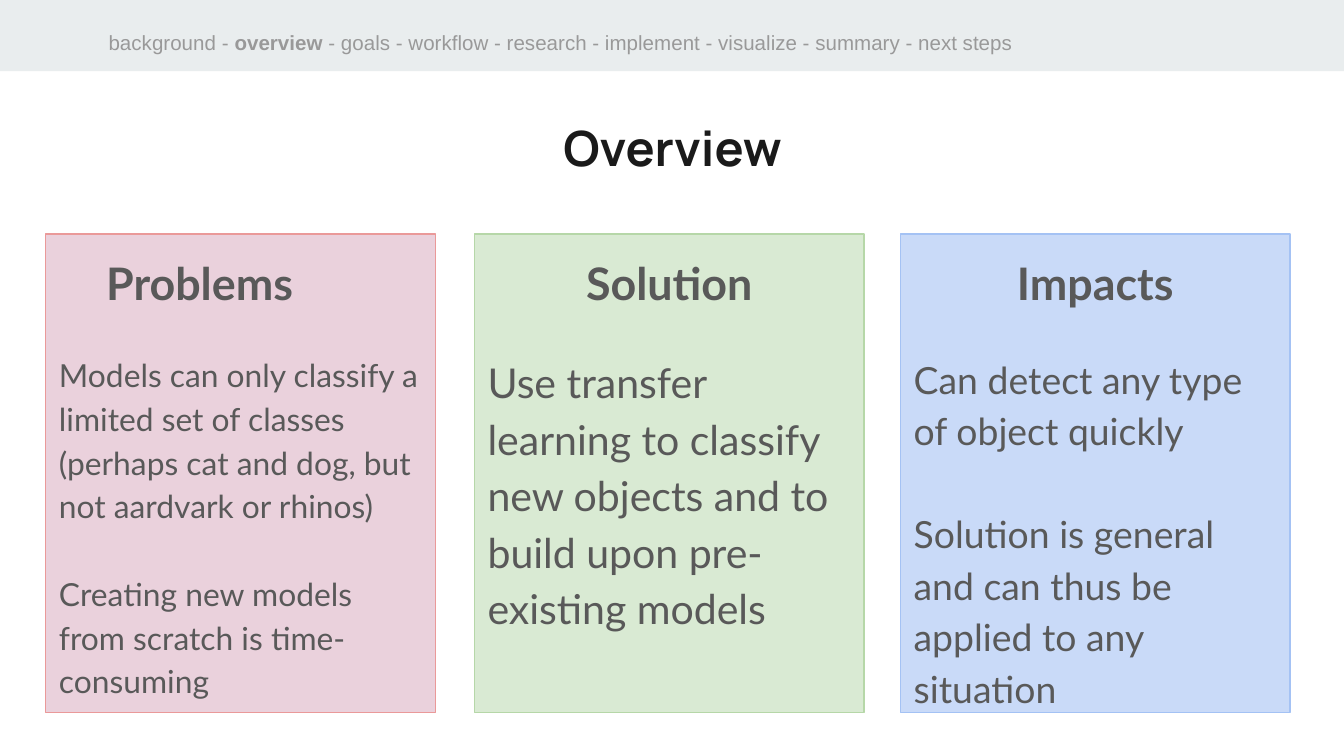
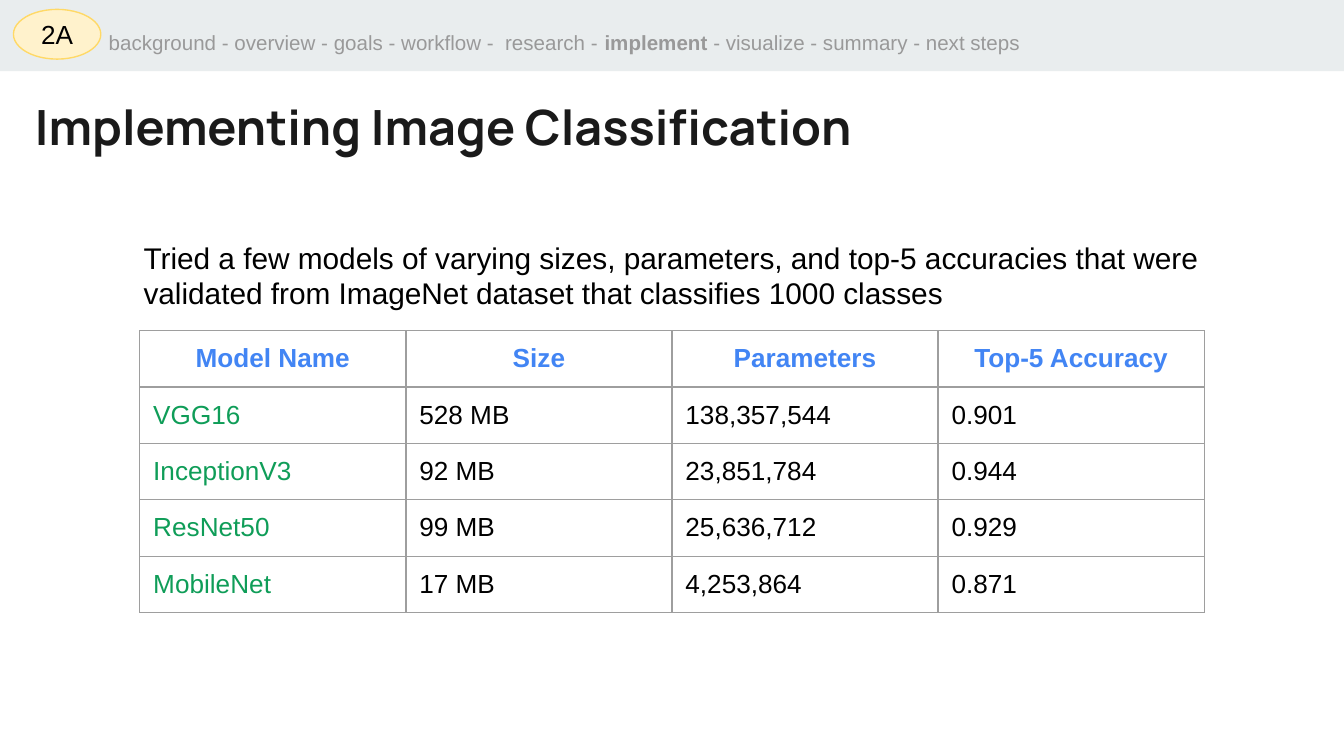
from dataclasses import dataclass
from typing import NamedTuple, Optional

from lxml import etree
from pptx import Presentation
from pptx import slide as sl
from pptx import util as u
from pptx.dml import color as dml
from pptx.enum import shapes, text
from pptx.oxml import ns
from pptx.shapes import autoshape
from pptx.text import text as tx


@dataclass(frozen=True)
class Theme:
    band: str = "E9EDEE"
    title: str = "1A1A1A"
    body: str = "595959"
    muted: str = "999999"
    black: str = "000000"
    header: str = "4285F4"
    model: str = "0F9D58"
    border: str = "9E9E9E"
    badge_fill: str = "FFF2CC"
    badge_line: str = "FFD966"
    title_font: str = "Manrope"
    card_font: str = "Lato"
    plain_font: str = "Arial"
    title_size: int = 26
    heading_size: int = 24
    intro_size: int = 16
    table_size: int = 14
    nav_size: int = 11
    line_width: float = 0.75
    line_spacing: float = 1.15


THEME = Theme()
PAGE_WIDTH = 10
PAGE_HEIGHT = PAGE_WIDTH * 9 / 16
INSET = u.Inches(0.1)
HEADING_TAB = u.Inches(2)
STAGES = ("background", "overview", "goals", "workflow", "research",
          "implement", "visualize", "summary", "next steps")


class Area(NamedTuple):
    left: float
    top: float
    width: float
    height: float

    def lengths(self) -> list[u.Length]:
        return [u.Inches(value) for value in self]


class Style(NamedTuple):
    font: str
    size: float
    color: str
    bold: bool = False


@dataclass(frozen=True)
class Card:
    left: float
    heading: str
    paragraphs: tuple[str, ...]
    size: int
    fill: str
    line: str


CARDS = (
    Card(0.34, "Problems\t",
         ("Models can only classify a limited set of classes "
          "(perhaps cat and dog, but not aardvark or rhinos)",
          "Creating new models from scratch is time-consuming"),
         17, "EAD1DC", "EA9999"),
    Card(3.53, "Solution",
         ("Use transfer learning to classify new objects and to build upon "
          "pre-existing models",),
         22, "D9EAD3", "B6D7A8"),
    Card(6.7, "Impacts",
         ("Can detect any type of object quickly",
          "Solution is general and can thus be applied to any situation"),
         20, "C9DAF8", "A4C2F4"),
)

MODELS = (
    ("Model Name", "Size", "Parameters", "Top-5 Accuracy"),
    ("VGG16", "528 MB", "138,357,544", "0.901"),
    ("InceptionV3", "92 MB", "23,851,784", "0.944"),
    ("ResNet50", "99 MB", "25,636,712", "0.929"),
    ("MobileNet", "17 MB", "4,253,864", "0.871"),
)
COLUMN_WIDTH = 1.98
ROW_HEIGHT = 0.42


def rgb(value: str) -> dml.RGBColor:
    return dml.RGBColor.from_string(value)


def add_span(para: tx._Paragraph, words: str, style: Style) -> None:
    span = para.add_run()
    span.text = words
    values = {"name": style.font, "size": u.Pt(style.size), "bold": style.bold}
    for name, value in values.items():
        setattr(span.font, name, value)
    span.font.color.rgb = rgb(style.color)


def format_frame(frame: tx.TextFrame, anchor=text.MSO_ANCHOR.TOP) -> None:
    values = {"word_wrap": True, "auto_size": text.MSO_AUTO_SIZE.NONE,
              "vertical_anchor": anchor, "margin_left": INSET,
              "margin_top": INSET, "margin_right": INSET,
              "margin_bottom": INSET}
    for name, value in values.items():
        setattr(frame, name, value)


def add_box(page: sl.Slide, area: Area) -> tx._Paragraph:
    """Add a text box and return its first paragraph."""
    frame = page.shapes.add_textbox(*area.lengths()).text_frame
    format_frame(frame)
    return frame.paragraphs[0]


def add_filled(page: sl.Slide, kind: shapes.MSO_SHAPE, area: Area, fill: str,
               line: Optional[str] = None) -> autoshape.Shape:
    shape = page.shapes.add_shape(kind, *area.lengths())
    shape.shadow.inherit = False
    shape.fill.solid()
    shape.fill.fore_color.rgb = rgb(fill)
    if line:
        shape.line.color.rgb = rgb(line)
        shape.line.width = u.Pt(THEME.line_width)
    else:
        shape.line.fill.background()
    return shape


def add_navigation(page: sl.Slide, stages: tuple[str, ...], stage: str,
                   width: float) -> None:
    """Add the top band with the path of stages, the given one in bold."""
    add_filled(page, shapes.MSO_SHAPE.RECTANGLE, Area(0, 0, PAGE_WIDTH, 0.53),
               THEME.band)
    para = add_box(page, Area(0.71, 0.12, width, 0.27))
    plain = Style(THEME.plain_font, THEME.nav_size, THEME.muted)
    position = stages.index(stage)
    add_span(para, " - ".join(stages[:position]) + " - ", plain)
    add_span(para, stage + " ", plain._replace(bold=True))
    add_span(para, "- " + " - ".join(stages[position + 1:]), plain)


def add_page(deck, title: str, area: Area, align: text.PP_ALIGN) -> sl.Slide:
    page = deck.slides.add_slide(deck.slide_layouts.get_by_name("Title Only"))
    holder = page.shapes.title
    holder.left, holder.top, holder.width, holder.height = area.lengths()
    format_frame(holder.text_frame)
    para = holder.text_frame.paragraphs[0]
    para.alignment = align
    add_span(para, title,
             Style(THEME.title_font, THEME.title_size, THEME.title, True))
    return page


def add_tab_stop(para: tx._Paragraph, position: u.Length) -> None:
    stops = etree.SubElement(para._p.get_or_add_pPr(), ns.qn("a:tabLst"))
    etree.SubElement(stops, ns.qn("a:tab"), pos=str(position), algn="l")


def add_card(page: sl.Slide, card: Card) -> None:
    box = add_filled(page, shapes.MSO_SHAPE.RECTANGLE,
                     Area(card.left, 1.74, 2.9, 3.56), card.fill, card.line)
    frame = box.text_frame
    format_frame(frame)
    heading = frame.paragraphs[0]
    heading.alignment = text.PP_ALIGN.CENTER
    heading.line_spacing = THEME.line_spacing
    heading.space_after = u.Pt(22)
    if "\t" in card.heading:
        add_tab_stop(heading, HEADING_TAB)
    add_span(heading, card.heading,
             Style(THEME.card_font, THEME.heading_size, THEME.body, True))
    for index, words in enumerate(card.paragraphs):
        para = frame.add_paragraph()
        para.alignment = text.PP_ALIGN.LEFT
        para.line_spacing = THEME.line_spacing
        if index:
            para.space_before = u.Pt(round(card.size * 1.2 * THEME.line_spacing, 1))
        add_span(para, words, Style(THEME.card_font, card.size, THEME.body))


def add_borders(cell) -> None:
    properties = cell._tc.get_or_add_tcPr()
    for index, side in enumerate(("lnL", "lnR", "lnT", "lnB")):
        line = etree.Element(ns.qn(f"a:{side}"), w=str(u.Pt(THEME.line_width)))
        fill = etree.SubElement(line, ns.qn("a:solidFill"))
        etree.SubElement(fill, ns.qn("a:srgbClr"), val=THEME.border)
        properties.insert(index, line)


def add_model_table(page: sl.Slide, left: float, top: float) -> None:
    rows, columns = len(MODELS), len(MODELS[0])
    area = Area(left, top, COLUMN_WIDTH * columns, ROW_HEIGHT * rows)
    table = page.shapes.add_table(rows, columns, *area.lengths()).table
    table.first_row = table.horz_banding = False
    for column in table.columns:
        column.width = u.Inches(COLUMN_WIDTH)
    for row in table.rows:
        row.height = u.Inches(ROW_HEIGHT)
    plain = Style(THEME.plain_font, THEME.table_size, THEME.black)
    for row_index, values in enumerate(MODELS):
        for column_index, value in enumerate(values):
            cell = table.cell(row_index, column_index)
            for side in ("left", "top", "right", "bottom"):
                setattr(cell, f"margin_{side}", INSET)
            cell.fill.background()
            add_borders(cell)
            para = cell.text_frame.paragraphs[0]
            style = plain
            if row_index == 0:
                para.alignment = text.PP_ALIGN.CENTER
                style = plain._replace(color=THEME.header, bold=True)
            elif column_index == 0:
                style = plain._replace(color=THEME.model)
            add_span(para, value, style)


def add_badge(page: sl.Slide, label: str) -> None:
    badge = add_filled(page, shapes.MSO_SHAPE.FLOWCHART_CONNECTOR,
                       Area(0.1, 0.07, 0.65, 0.37), THEME.badge_fill,
                       THEME.badge_line)
    format_frame(badge.text_frame, text.MSO_ANCHOR.MIDDLE)
    para = badge.text_frame.paragraphs[0]
    para.alignment = text.PP_ALIGN.CENTER
    add_span(para, label,
             Style(THEME.plain_font, THEME.table_size, THEME.black))


def build_overview(deck) -> None:
    page = add_page(deck, "Overview", Area(0.8, 0.78, 8.41, 0.76),
                    text.PP_ALIGN.CENTER)
    add_navigation(page, STAGES, "overview", 6.94)
    for card in CARDS:
        add_card(page, card)


def build_implementation(deck) -> None:
    page = add_page(deck, "Implementing Image Classification",
                    Area(0.16, 0.62, 8.41, 0.59), text.PP_ALIGN.LEFT)
    stages = tuple(" research" if name == "research" else name
                   for name in STAGES)
    add_navigation(page, stages, "implement", 7.48)
    add_badge(page, "2A")
    add_model_table(page, 1.04, 2.46)
    intro = add_box(page, Area(0.97, 1.68, 8.07, 0.59))
    add_span(intro,
             "Tried a few models of varying sizes, parameters, and top-5 "
             "accuracies that were validated from ImageNet dataset that "
             "classifies 1000 classes",
             Style(THEME.plain_font, THEME.intro_size, THEME.black))


def main() -> None:
    deck = Presentation()
    deck.slide_width = u.Inches(PAGE_WIDTH)
    deck.slide_height = u.Inches(PAGE_HEIGHT)
    build_overview(deck)
    build_implementation(deck)
    deck.save("out.pptx")


if __name__ == "__main__":
    main()
